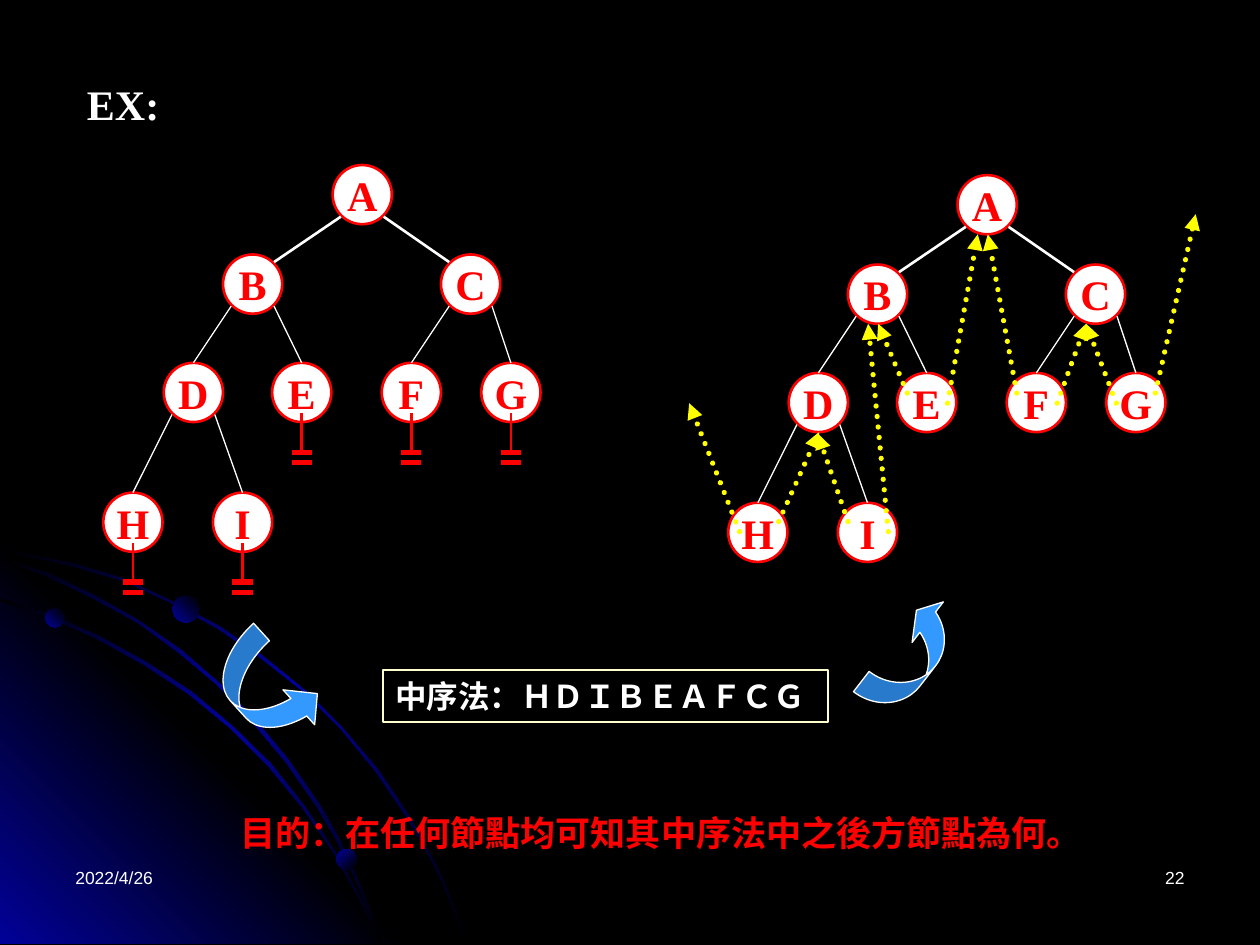
from dataclasses import dataclass

from lxml.etree import SubElement
from pptx import Presentation
from pptx.dml.color import RGBColor
from pptx.enum.dml import MSO_LINE
from pptx.enum.shapes import MSO_CONNECTOR, MSO_SHAPE
from pptx.enum.text import MSO_ANCHOR, PP_ALIGN
from pptx.oxml.ns import qn
from pptx.util import Inches, Pt

WHITE, RED, YELLOW, BLACK, NAVY = "FFFFFF", "FF0000", "FFFF00", "000000", "010199"
SERIF, SANS = "Times New Roman", "Arial"
SIZE = 0.47
Point = tuple[float, float]


@dataclass(frozen=True)
class Node:
    name: str
    x: float
    y: float
    parent: str = ""
    side: int = 0


@dataclass(frozen=True)
class Label:
    text: str
    box: tuple[float, float, float, float]
    size: int
    color: str
    bold: bool = False
    align: PP_ALIGN = PP_ALIGN.LEFT


@dataclass(frozen=True)
class CurvedArrow:
    kind: MSO_SHAPE
    box: tuple[float, float, float, float]
    rotation: float
    adjustments: tuple[float, float, float]


TREE = [
    Node("A", 2.64, 1.31),
    Node("B", 1.77, 2.02, "A", -1), Node("C", 3.5, 2.02, "A", 1),
    Node("D", 1.3, 2.88, "B", -1), Node("E", 2.16, 2.88, "B", 1),
    Node("F", 3.03, 2.88, "C", -1), Node("G", 3.82, 2.88, "C", 1),
    Node("H", 0.82, 3.91, "D", -1), Node("I", 1.69, 3.91, "D", 1),
]
THREADS = [
    ((5.87, 4.22), (5.47, 3.2)), ((6.18, 4.14), (6.5, 3.43)),
    ((6.73, 4.14), (6.49, 3.44)), ((7.05, 4.22), (6.89, 2.57)),
    ((7.2, 3.12), (6.97, 2.57)), ((7.52, 3.2), (7.76, 1.86)),
    ((8.07, 3.12), (7.84, 1.86)), ((8.39, 3.2), (8.62, 2.57)),
    ((8.86, 3.2), (8.62, 2.57)), ((9.17, 3.12), (9.49, 1.7)),
]
OUTER_ARC = [
    (0.57, 4.47), (0.28, 4.41), (0, 4.35), (0, 4.38), (0.28, 4.43), (0.56, 4.49),
    (0.97, 4.61), (1.35, 4.78), (1.73, 4.99), (2.08, 5.23), (2.41, 5.49), (2.71, 5.79),
    (2.98, 6.12), (3.23, 6.49), (3.37, 6.73), (3.5, 6.98), (3.6, 7.23), (3.7, 7.49),
    (3.72, 7.49), (3.62, 7.23), (3.52, 6.98), (3.39, 6.73), (3.25, 6.48), (3, 6.11),
    (2.72, 5.78), (2.42, 5.48), (2.09, 5.21), (1.74, 4.97), (1.36, 4.77), (0.98, 4.59),
]
INNER_ARC = [
    (2.85, 7.14), (2.94, 7.32), (3.01, 7.49), (3.03, 7.49), (2.96, 7.3), (2.86, 7.12),
    (2.66, 6.76), (2.42, 6.4), (2.15, 6.06), (1.84, 5.76), (1.52, 5.49), (1.17, 5.26),
    (0.79, 5.05), (0.41, 4.88), (0, 4.75), (0, 4.77), (0.39, 4.9), (0.77, 5.07),
    (1.15, 5.28), (1.5, 5.51), (1.83, 5.78), (2.13, 6.08), (2.4, 6.41), (2.65, 6.77),
]
MIDDLE_ARC = [
    (0, 4.42), (0, 4.44), (0.36, 4.57), (0.74, 4.75), (1.09, 4.94), (1.42, 5.18),
    (1.73, 5.44), (2.02, 5.75), (2.27, 6.05), (2.52, 6.41), (2.67, 6.67), (2.8, 6.94),
    (2.92, 7.22), (3.01, 7.49), (3.03, 7.49), (2.94, 7.2), (2.82, 6.93), (2.69, 6.65),
    (2.54, 6.39), (2.29, 6.03), (2.04, 5.73), (1.75, 5.43), (1.44, 5.16), (1.11, 4.93),
    (0.76, 4.73), (0.39, 4.55),
]
CORNER = [(3.22, 7.49), (0, 7.49), (0, 4.27)]
GLOW = (BLACK, NAVY, BLACK)
BACKDROP = [(OUTER_ARC, GLOW, 45), (CORNER, (NAVY, BLACK, NAVY), 315),
            (INNER_ARC, GLOW, 45), (MIDDLE_ARC, GLOW, 45)]
DOTS = [(0.36, 4.83, 0.15, 315), (2.67, 6.74, 0.16, 45), (1.37, 4.73, 0.21, 315)]
ARROWS = [
    CurvedArrow(MSO_SHAPE.CURVED_RIGHT_ARROW, (1.85, 5.01, 0.55, 0.94), 317.8, (0.34, 0.68, 0.33)),
    CurvedArrow(MSO_SHAPE.CURVED_UP_ARROW, (6.73, 5.01, 1.02, 0.39), 307.7, (0.52, 1.04, 0.33)),
]
LABELS = [
    Label("2022/4/26", (0.5, 6.83, 2.33, 0.5), 10, WHITE),
    Label("22", (7.17, 6.83, 2.33, 0.5), 10, WHITE, align=PP_ALIGN.RIGHT),
    Label("目的：在任何節點均可知其中序法中之後方節點為何。", (1.81, 6.39, 6.93, 0.44), 20, RED, True),
]


def rgb(color: str) -> RGBColor:
    return RGBColor.from_string(color)


def inches(values) -> list:
    return [Inches(v) for v in values]


def write(sp, text: str, size: int, color: str, font: str, bold: bool = True,
          align=PP_ALIGN.LEFT, anchor=MSO_ANCHOR.TOP, wrap: bool = False) -> None:
    tf = sp.text_frame
    tf.word_wrap = wrap
    tf.vertical_anchor = anchor
    p = tf.paragraphs[0]
    p.alignment = align
    r = p.add_run()
    r.text = text
    r.font.size, r.font.name, r.font.bold = Pt(size), font, bold
    r.font.color.rgb = rgb(color)


def add_shape(s, kind: MSO_SHAPE, box, fill: str, line: str, width: float):
    sp = s.shapes.add_shape(kind, *inches(box))
    sp.shadow.inherit = False
    if fill:
        sp.fill.solid()
        sp.fill.fore_color.rgb = rgb(fill)
    else:
        sp.fill.background()
    sp.line.color.rgb = rgb(line)
    sp.line.width = Pt(width)
    return sp


def shade(sp, colors: tuple, angle: int) -> None:
    sp.shadow.inherit = False
    sp.line.fill.background()
    sp.fill.gradient()
    sp.fill.gradient_angle = 360 - angle
    stops = sp._element.spPr.find(".//" + qn("a:gsLst"))
    stops.clear()
    for i, color in enumerate(colors):
        gs = SubElement(stops, qn("a:gs"), pos=str(100000 * i // (len(colors) - 1)))
        SubElement(gs, qn("a:srgbClr"), val=color)


def add_line(s, start: Point, end: Point, color: str, width: float, thread: bool = False) -> None:
    c = s.shapes.add_connector(MSO_CONNECTOR.STRAIGHT, *inches((*start, *end)))
    c.line.color.rgb = rgb(color)
    c.line.width = Pt(width)
    if thread:
        c.line.dash_style = MSO_LINE.ROUND_DOT
        ln = c.line._get_or_add_ln()
        ln.set("cap", "rnd")
        SubElement(ln, qn("a:tailEnd"), type="triangle")
    SubElement(c._element.spPr, qn("a:effectLst"))


def add_backdrop(s) -> None:
    for points, colors, angle in BACKDROP:
        start, *rest = [tuple(inches(pt)) for pt in points]
        fb = s.shapes.build_freeform(*start)
        fb.add_line_segments(rest, close=True)
        shade(fb.convert_to_shape(), colors, angle)
    for x, y, d, angle in DOTS:
        shade(s.shapes.add_shape(MSO_SHAPE.OVAL, *inches((x, y, d, d))), (NAVY, BLACK), angle)


def add_tree(s, dx: float = 0, dy: float = 0) -> None:
    centers = {n.name: (n.x + dx + SIZE / 2, n.y + dy) for n in TREE}
    for n in TREE:
        sp = add_shape(s, MSO_SHAPE.FLOWCHART_CONNECTOR, (n.x + dx, n.y + dy, SIZE, SIZE), WHITE, RED, 1.5)
        write(sp, n.name, 24, RED, SERIF, align=PP_ALIGN.CENTER, anchor=MSO_ANCHOR.MIDDLE)
    for n in TREE[1:]:
        (px, py), (cx, cy) = centers[n.parent], centers[n.name]
        top = n.parent == "A"
        end = (cx - 0.17 * n.side, cy + 0.06) if top else (cx, cy)
        add_line(s, (px + 0.17 * n.side, py + 0.41), end, WHITE, 1.5 if top else 0.75)


def add_grounds(s) -> None:
    parents = {n.parent for n in TREE}
    for n in TREE:
        if n.name not in parents:
            cx = n.x + SIZE / 2
            add_line(s, (cx, n.y + 0.4), (cx, n.y + 0.71), RED, 1.5)
            for y in (n.y + 0.71, n.y + 0.79):
                add_line(s, (cx - 0.08, y), (cx + 0.08, y), RED, 3)


def main() -> None:
    prs = Presentation()
    prs.slide_width, prs.slide_height = Inches(10), Inches(7.5)
    s = prs.slides.add_slide(prs.slide_layouts[5])
    s.background.fill.solid()
    s.background.fill.fore_color.rgb = rgb(BLACK)
    add_backdrop(s)
    title = s.shapes.title
    title.left, title.top, title.width, title.height = inches((0.59, 0.57, 0.78, 0.5))
    write(title, "EX:", 24, WHITE, SERIF)
    add_tree(s)
    add_grounds(s)
    add_tree(s, 4.96, 0.08)
    for start, end in THREADS:
        add_line(s, start, end, YELLOW, 3, thread=True)
    order = add_shape(s, MSO_SHAPE.RECTANGLE, (3.04, 5.32, 3.53, 0.41), "", "FFFFCC", 1)
    write(order, "中序法：ＨＤＩＢＥＡＦＣＧ", 18, WHITE, SERIF)
    for lb in LABELS:
        sp = s.shapes.add_textbox(*inches(lb.box))
        write(sp, lb.text, lb.size, lb.color, SANS, lb.bold, lb.align, wrap=True)
    for a in ARROWS:
        sp = add_shape(s, a.kind, a.box, "3399FF", WHITE, 0.75)
        sp.rotation = a.rotation
        for i, value in enumerate(a.adjustments):
            sp.adjustments[i] = value
    prs.save("out.pptx")


if __name__ == "__main__":
    main()
